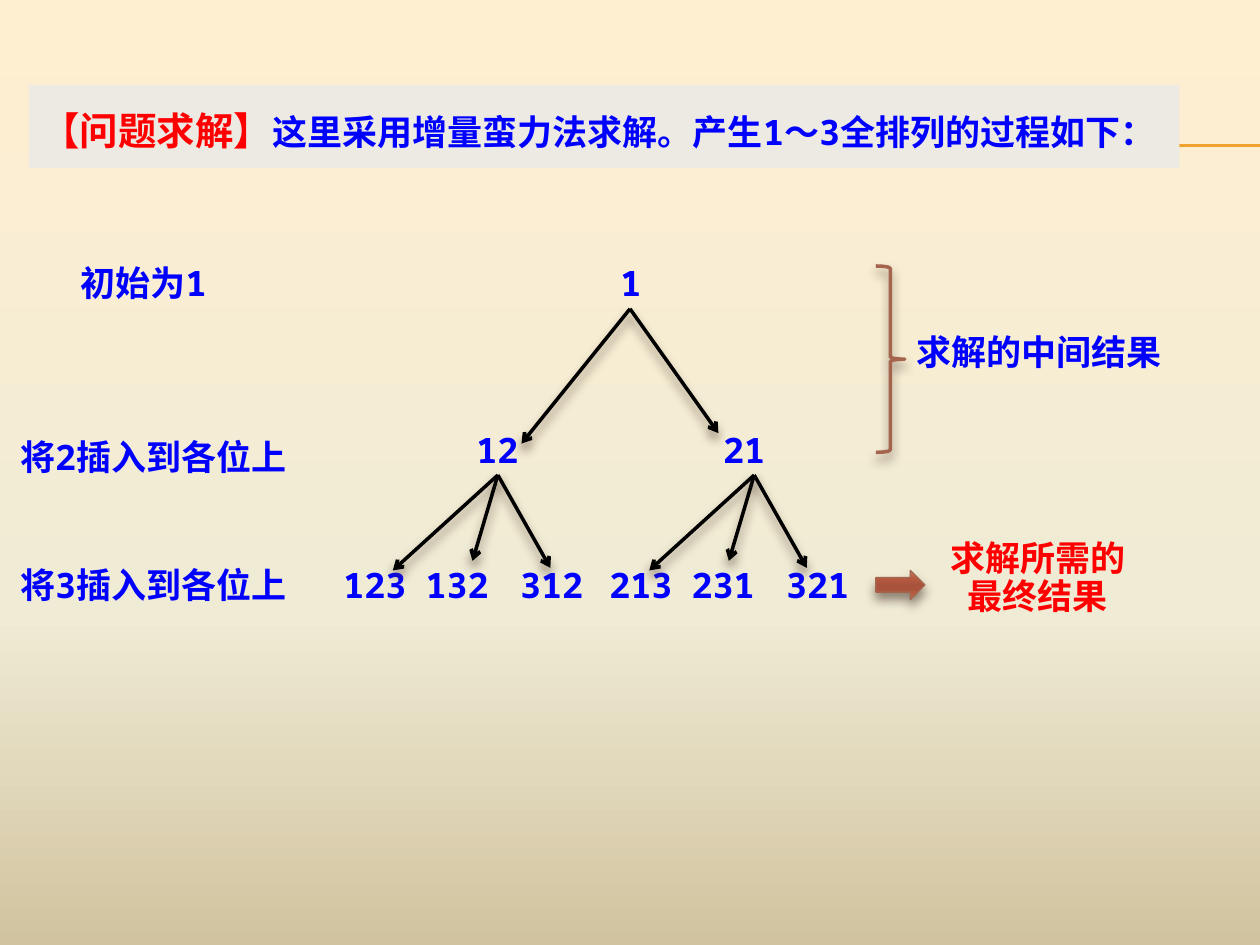
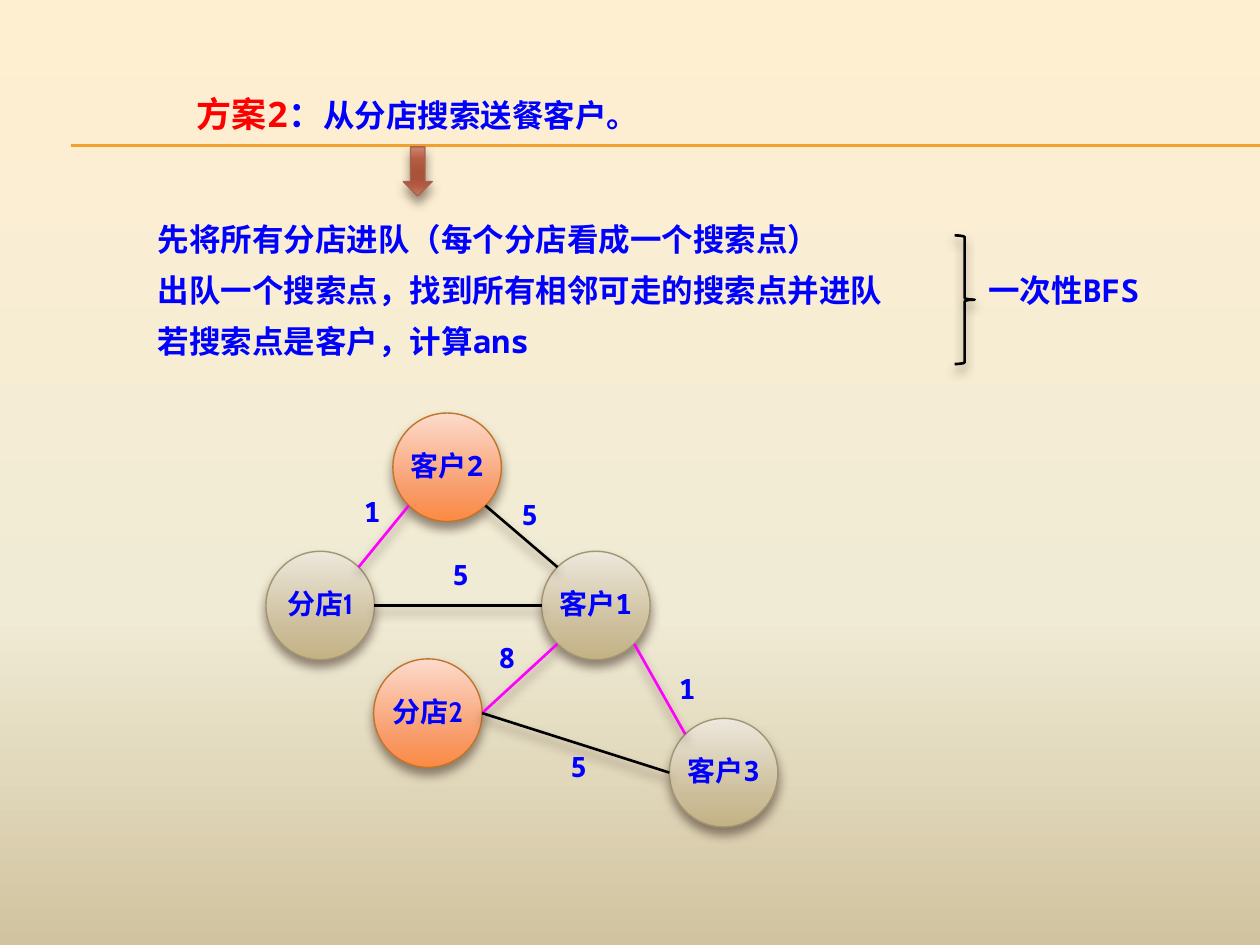
from math import cos, radians, sin

from lxml.etree import SubElement
from pptx import Presentation
from pptx.dml.color import RGBColor
from pptx.enum.shapes import MSO_CONNECTOR as LINE, MSO_SHAPE as SHAPE
from pptx.enum.text import MSO_ANCHOR as ANCHOR, MSO_AUTO_SIZE as FIT, PP_ALIGN as ALIGN
from pptx.oxml.ns import qn
from pptx.util import Pt

COLORS = {
    "blue": "0000FF", "red": "FF0000", "black": "000000", "magenta": "FF00FF",
    "rule": "F0A22E", "band": "ECEAE3", "brown": "A5644E", "shadow": "4E3B30",
    "orange_edge": "C17529", "sand_edge": "A19574",
}
GRADIENTS = {
    "page": ((0, "FFEFD1"), (65, "F0EBD5"), (100, "D1C39F")),
    "arrow": ((0, "CD8473"), (25, "B75B42"), (50, "AA533C"),
              (65, "AA533C"), (80, "B65B42"), (100, "C77D6B")),
    "orange": ((0, "FDDBCC"), (72, "F89B69"), (100, "FC8A43")),
    "sand": ((0, "EDE8DC"), (72, "CCBD99"), (100, "C4B284")),
}
MONO, SANS, ROUND = "Noto Sans Mono", "Noto Sans CJK SC", "Cabin"
SINGLE, WIDE = 0.9, 1.35
CIRCLE = 62


def color(name):
    """Return the named colour."""
    return RGBColor.from_string(COLORS[name])


class Painter:
    """Holds the deck style and the current page."""

    def __init__(self):
        """Set up the page size and background."""
        self.deck = Presentation()
        self.deck.slide_width, self.deck.slide_height = Pt(720), Pt(540)
        self.layout = self.deck.slide_layouts[5]
        master = self.deck.slide_master
        self.gradient(master.background.fill, master.element, "page")

    def add_page(self):
        """Start a new title-only page."""
        self.page = self.deck.slides.add_slide(self.layout)

    def add_rules(self):
        """Place the shared title rules on the layout."""
        for y in (82.8, 83.5):
            rule = self.line((40.5, y), (720, y), "rule", 0.75, shadow=False)
            self.layout.shapes.element.append(rule.element)

    def gradient(self, fill, element, name):
        """Fill from top to bottom with a named gradient."""
        fill.gradient()
        fill.gradient_angle = 270
        stops = element.find(".//" + qn("a:gsLst"))
        for stop in list(stops):
            stops.remove(stop)
        for position, value in GRADIENTS[name]:
            stop = SubElement(stops, qn("a:gs"), pos=str(position * 1000))
            SubElement(stop, qn("a:srgbClr"), val=value)

    def effect(self, shape, shadow):
        """Give a shape a soft shadow below, or none at all."""
        effects = SubElement(shape.element.spPr, qn("a:effectLst"))
        if shadow:
            outer = SubElement(effects, qn("a:outerShdw"), blurRad=str(Pt(6)),
                               dist=str(Pt(4)), dir="5400000", rotWithShape="0")
            tint = SubElement(outer, qn("a:srgbClr"), val=COLORS["shadow"])
            SubElement(tint, qn("a:alpha"), val="60000")

    def compose(self, box, paragraphs, align=ALIGN.LEFT, spacing=SINGLE,
                anchor=ANCHOR.TOP, margins=(0, 0), **style):
        """Fill a box with paragraphs, each a string or (text, format) spans."""
        frame = box.text_frame
        side, edge = (Pt(margin) for margin in margins)
        layout = {"word_wrap": True, "auto_size": FIT.NONE, "vertical_anchor": anchor,
                  "margin_left": side, "margin_right": side,
                  "margin_top": edge, "margin_bottom": edge}
        for key, value in layout.items():
            setattr(frame, key, value)
        for index, content in enumerate(paragraphs):
            para = frame.add_paragraph() if index else frame.paragraphs[0]
            para.alignment, para.line_spacing = align, spacing
            spans = [(content, {})] if isinstance(content, str) else content
            for text, changes in spans:
                self.span(para, text, **{**style, **changes})
        for font in list(box.element.iter(qn("a:rPr"))):
            name = font.find(qn("a:latin")).get("typeface")
            SubElement(font, qn("a:ea"), typeface=name)

    def span(self, para, text, size=20, name=MONO, ink="blue"):
        """Add one bold run of text."""
        span = para.add_run()
        span.text = text
        for key, value in {"size": Pt(size), "name": name, "bold": True}.items():
            setattr(span.font, key, value)
        span.font.color.rgb = color(ink)

    def title(self, place, spans, fill=None, **style):
        """Move and format the title placeholder."""
        box = self.page.shapes.title
        for key, value in zip(("left", "top", "width", "height"), place):
            setattr(box, key, Pt(value))
        if fill:
            box.fill.solid()
            box.fill.fore_color.rgb = color(fill)
        self.compose(box, [spans], spacing=WIDE, **style)

    def text(self, place, *paragraphs, **style):
        """Add a text box."""
        box = self.page.shapes.add_textbox(*map(Pt, place))
        self.compose(box, paragraphs, **style)

    def shape(self, kind, place, edge, width=0.79, fill=None):
        """Add a preset shape with a shadow."""
        shape = self.page.shapes.add_shape(kind, *map(Pt, place))
        shape.fill.background()
        if fill:
            self.gradient(shape.fill, shape.element, fill)
        shape.line.color.rgb, shape.line.width = color(edge), Pt(width)
        self.effect(shape, True)
        return shape

    def line(self, start, end, ink="black", width=1.5, arrow=False, shadow=True):
        """Add a straight line, with an arrowhead at its end if wanted."""
        line = self.page.shapes.add_connector(LINE.STRAIGHT, *map(Pt, (*start, *end)))
        line.line.color.rgb, line.line.width = color(ink), Pt(width)
        if arrow:
            SubElement(line.element.spPr.find(qn("a:ln")), qn("a:tailEnd"), type="arrow")
        self.effect(line, shadow)
        return line


def rim(corner, angle):
    """Return the point on a circle at a clockwise angle from the right."""
    left, top = corner
    radius = CIRCLE / 2
    return (left + radius * (1 + cos(radians(angle))),
            top + radius * (1 + sin(radians(angle))))


def draw_permutations(painter):
    """Draw the tree that builds the permutations of 1 to 3."""
    painter.title((16.5, 48.5, 657.5, 47.5), [
        ("【问题求解】", {"size": 22, "name": SANS, "ink": "red"}),
        ("这里采用增量蛮力法求解。产生1～3全排列的过程如下：", {})],
        fill="band", margins=(7.2, 3.6))
    centered = {"align": ALIGN.CENTER}
    painter.text((34, 152, 96, 24.5), "初始为1", **centered)
    for step, top in ((2, 251.5), (3, 324.5)):
        painter.text((11.5, top, 174, 24.5), f"将{step}插入到各位上")

    root = (360, 176.5)
    painter.text((343.5, 152, 34, 24.5), "1", **centered)
    for left, label, tip in ((264.5, "12", (298, 253.5)), (405.5, "21", (410.5, 247.5))):
        painter.text((left, 247.5, 39.5, 24.5), label, **centered)
        painter.line(root, tip, width=2, arrow=True)

    leaf_places = ((191.5, 45.5), (236, 50.5), (292.5, 45.5))
    tips = ((224.5, 326), (270, 320.5), (314.5, 324.5))
    families = ((0, 0, ("123", "132", "312")), (152, 146.5, ("213", "231", "321")))
    for leaf_shift, arrow_shift, leaves in families:
        for leaf, (left, width), (x, y) in zip(leaves, leaf_places, tips):
            painter.text((left + leaf_shift, 324.5, width, 24.5), leaf, **centered)
            painter.line((284.5 + arrow_shift, 271.5), (x + arrow_shift, y),
                         width=2, arrow=True)

    painter.text((534, 309.5, 118, 48), "求解所需的", "最终结果", ink="red", **centered)
    painter.shape(SHAPE.RIGHT_ARROW, (500.5, 326, 28, 16.5), "brown", fill="arrow")
    painter.text((523.5, 191.5, 158, 24.5), "求解的中间结果")
    painter.shape(SHAPE.RIGHT_BRACE, (500.5, 152, 16.5, 106.5), "brown", 2)


def draw_search(painter):
    """Draw the search from the branches to the customers."""
    painter.title((112.5, 44.5, 270, 36), [
        ("方案2", {"ink": "red"}), ("：", {}), ("从分店搜索送餐客户。", {"size": 18})])
    nodes = {
        "客户2": ((224.5, 236), "orange"), "分店1": ((152, 315), "sand"),
        "分店2": ((213.5, 376.5), "orange"), "客户1": ((309.5, 315), "sand"),
        "客户3": ((382.5, 410.5), "sand"),
    }
    for label, (corner, tone) in nodes.items():
        circle = painter.shape(SHAPE.OVAL, (*corner, CIRCLE, CIRCLE), f"{tone}_edge", fill=tone)
        kind, number = label[:2], label[2]
        digit = {"name": ROUND} if kind == "分店" else {}
        painter.compose(circle, [[(kind, {}), (number, digit)]], size=16,
                        align=ALIGN.CENTER, anchor=ANCHOR.MIDDLE, margins=(0, 3.6))

    edges = (
        ("分店1", 0, "客户1", 180, "black", "5", (258.5, 320.5)),
        ("分店2", 0, "客户1", 135, "magenta", "8", (285, 368)),
        ("客户1", 45, "客户3", 225, "magenta", "1", (388, 386)),
        ("客户2", 135, "分店1", 315, "magenta", "1", (208, 284.5)),
        ("分店2", 0, "客户3", 180, "black", "5", (326, 430.5)),
        ("客户2", 45, "客户1", 225, "black", "5", (298, 286.5)),
    )
    for start, leave, end, arrive, ink, weight, place in edges:
        painter.line(rim(nodes[start][0], leave), rim(nodes[end][0], arrive), ink)
        painter.text((*place, 16.5, 19.5), weight, size=16)

    painter.text((90, 118, 433.5, 98), "先将所有分店进队（每个分店看成一个搜索点）",
                 "出队一个搜索点，找到所有相邻可走的搜索点并进队",
                 "若搜索点是客户，计算ans", size=18, spacing=WIDE)
    painter.shape(SHAPE.DOWN_ARROW, (230.5, 84, 16.5, 28), "brown", fill="arrow")
    painter.text((551.5, 157.5, 112.5, 21.5), "一次性BFS", size=18, align=ALIGN.CENTER)
    painter.shape(SHAPE.RIGHT_BRACE, (545.5, 134.5, 11.5, 73.5), "black", 1.5)


def main():
    """Build and save the deck."""
    painter = Painter()
    for number, draw in enumerate((draw_permutations, draw_search)):
        painter.add_page()
        if number == 0:
            painter.add_rules()
        draw(painter)
    painter.deck.save("out.pptx")


if __name__ == "__main__":
    main()
